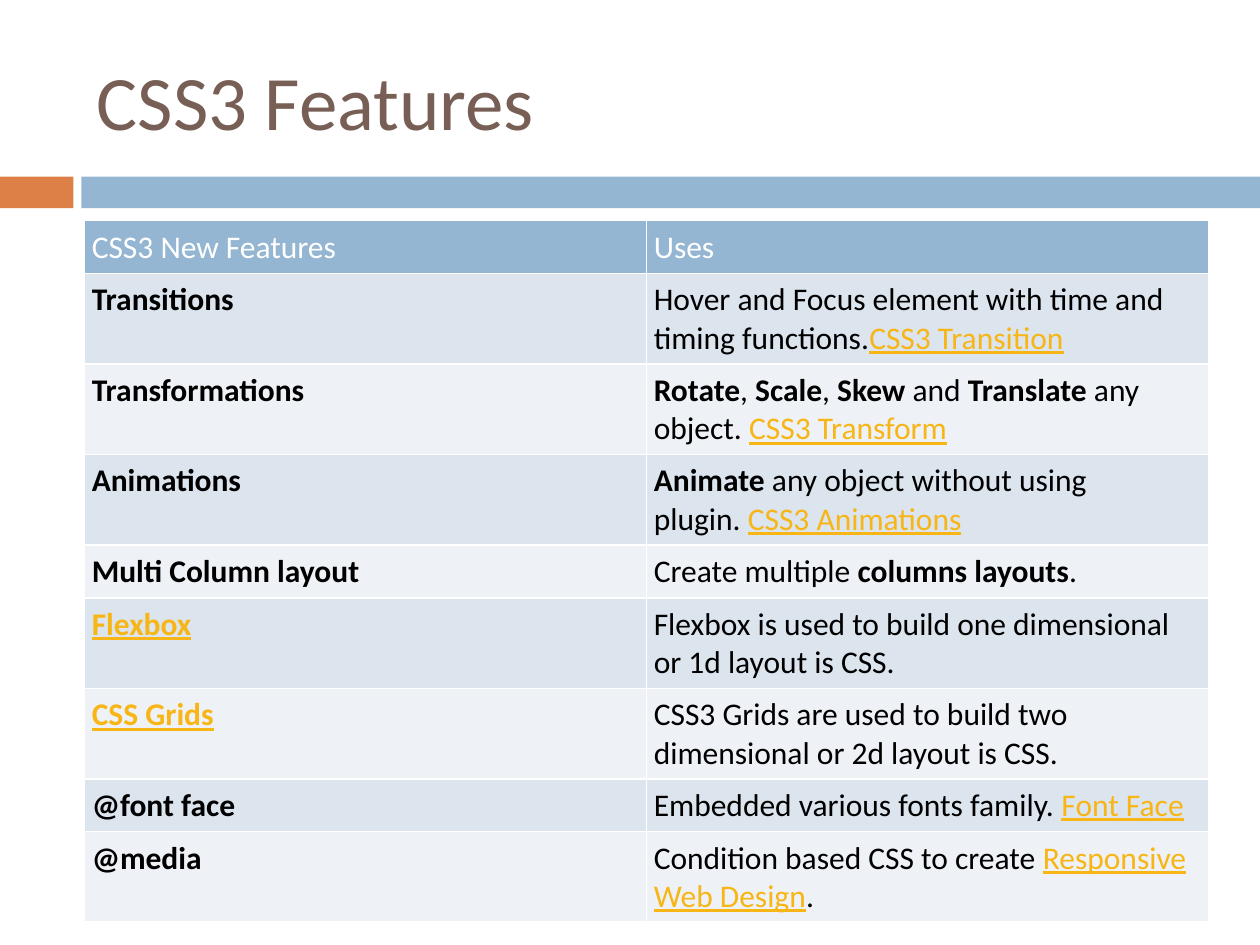
import pptx
import pptx.dml.color
import pptx.enum.shapes
import pptx.enum.text
import pptx.util
from lxml import etree
from pptx.util import Cm, Pt

FONT = "Calibri"
BLUE = "94B6D2"
ORANGE = "DD8047"
BROWN = "775F55"
BLACK = "000000"
WHITE = "FFFFFF"
LINK = "F7B615"
BANDS = ("DCE4EE", "EEF1F6")
NS = "http://schemas.openxmlformats.org/drawingml/2006/main"

PLAIN, BOLD, LINKED, BOLD_LINKED = "", "b", "u", "bu"
HEADINGS = ("CSS3 New Features", "Uses")
FEATURES = [
    (("Transitions", BOLD),
     [("Hover and Focus element with time and timing functions.", PLAIN),
      ("CSS3 Transition", LINKED)]),
    (("Transformations", BOLD),
     [("Rotate", BOLD), (",\u00a0", PLAIN), ("Scale", BOLD), (",\u00a0", PLAIN),
      ("Skew", BOLD), ("\u00a0and\u00a0", PLAIN), ("Translate", BOLD),
      ("\u00a0any object.\u00a0", PLAIN), ("CSS3 Transform", LINKED)]),
    (("Animations", BOLD),
     [("Animate", BOLD), ("\u00a0any object without using plugin.\u00a0", PLAIN),
      ("CSS3 Animations", LINKED)]),
    (("Multi Column layout", BOLD),
     [("Create multiple\u00a0", PLAIN), ("columns layouts", BOLD), (".", PLAIN)]),
    (("Flexbox", BOLD_LINKED),
     [("Flexbox is used to build one dimensional or 1d layout is CSS.", PLAIN)]),
    (("CSS Grids", BOLD_LINKED),
     [("CSS3 Grids are used to build two dimensional or 2d layout is CSS.", PLAIN)]),
    (("@font face", BOLD),
     [("Embedded various fonts family.\u00a0", PLAIN), ("Font Face", LINKED)]),
    (("@media", BOLD),
     [("Condition based CSS to create\u00a0", PLAIN),
      ("Responsive Web Design", LINKED), (".", PLAIN)]),
]


def color(value):
    return pptx.dml.color.RGBColor.from_string(value)


def format_span(span, size, shade, bold=False, underline=False):
    span.font.name = FONT
    span.font.size = Pt(size)
    span.font.color.rgb = color(shade)
    span.font.bold = bold
    span.font.underline = underline


def add_bar(page, left, width, shade):
    bar = page.shapes.add_shape(
        pptx.enum.shapes.MSO_SHAPE.RECTANGLE, Cm(left), Cm(3.56), Cm(width), Cm(0.64))
    bar.shadow.inherit = False
    bar.fill.solid()
    bar.fill.fore_color.rgb = color(shade)
    bar.line.fill.background()


def add_title(page, text):
    box = page.shapes.add_textbox(Cm(1.7), Cm(0.64), Cm(22.66), Cm(2.74))
    frame = box.text_frame
    frame.word_wrap = True
    frame.vertical_anchor = pptx.enum.text.MSO_ANCHOR.MIDDLE
    frame.text = text
    format_span(frame.paragraphs[0].runs[0], 44, BROWN)


def add_borders(cell):
    properties = cell._tc.get_or_add_tcPr()
    for side in "LRTB":
        line = etree.SubElement(properties, f"{{{NS}}}ln{side}", w=str(Pt(1)))
        fill = etree.SubElement(line, f"{{{NS}}}solidFill")
        etree.SubElement(fill, f"{{{NS}}}srgbClr", val=WHITE)


def fill_cell(cell, spans, shade, text_color=BLACK):
    add_borders(cell)
    cell.fill.solid()
    cell.fill.fore_color.rgb = color(shade)
    cell.margin_left = cell.margin_right = Cm(0.15)
    cell.margin_top = cell.margin_bottom = Cm(0.15)
    para = cell.text_frame.paragraphs[0]
    for text, style in spans:
        span = para.add_run()
        span.text = text
        linked = "u" in style
        format_span(span, 18, LINK if linked else text_color, "b" in style, linked)


def add_features_table(page):
    count = len(FEATURES) + 1
    table = page.shapes.add_table(
        count, 2, Cm(1.7), Cm(4.45), Cm(22.66), Cm(1.04 * count)).table
    for column, heading in enumerate(HEADINGS):
        cell = table.cell(0, column)
        cell.vertical_anchor = pptx.enum.text.MSO_ANCHOR.BOTTOM
        fill_cell(cell, [(heading, PLAIN)], BLUE, WHITE)
    for index, (feature, uses) in enumerate(FEATURES):
        shade = BANDS[index % 2]
        fill_cell(table.cell(index + 1, 0), [feature], shade)
        fill_cell(table.cell(index + 1, 1), uses, shade)


def main():
    deck = pptx.Presentation()
    deck.slide_width, deck.slide_height = Cm(25.4), Cm(19.05)
    page = deck.slides.add_slide(deck.slide_layouts[6])
    add_bar(page, 0, 1.48, ORANGE)
    add_bar(page, 1.64, 23.76, BLUE)
    add_title(page, "CSS3 Features")
    add_features_table(page)
    deck.save("out.pptx")


main()
